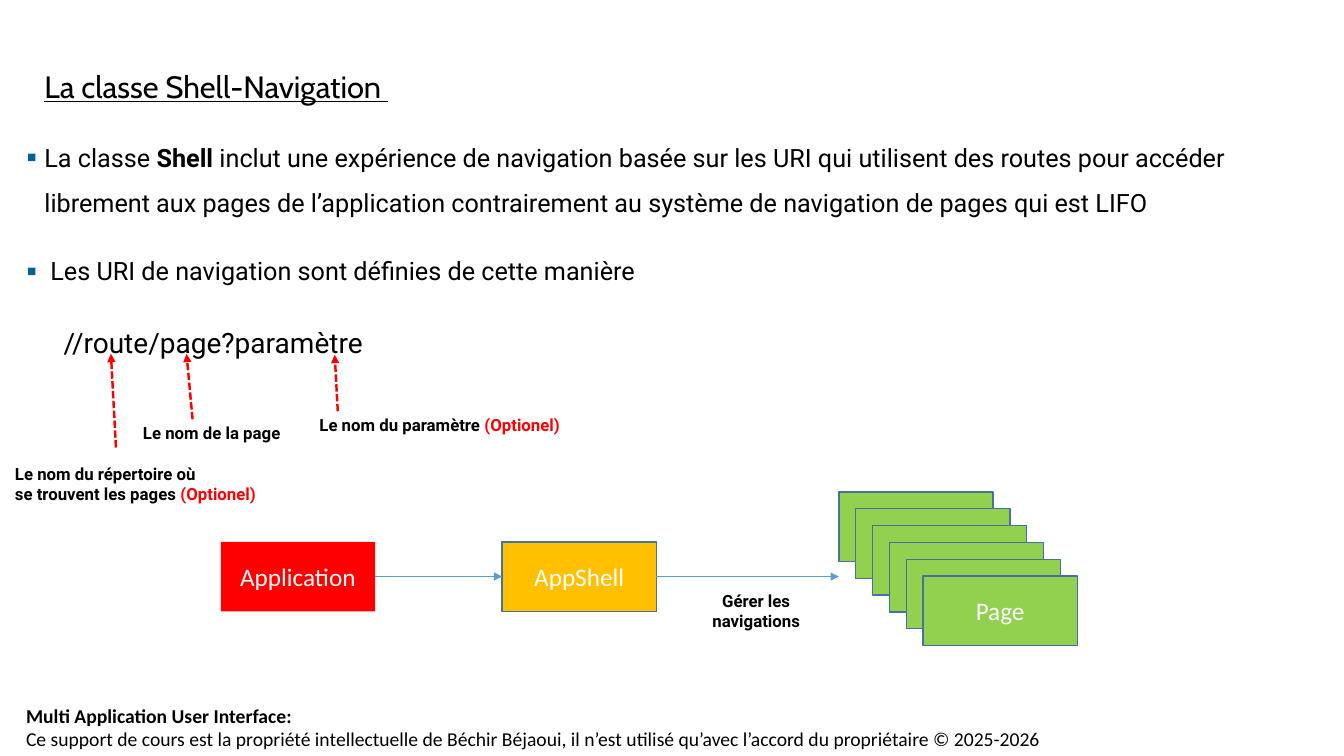
from lxml.etree import SubElement
from pptx import Presentation
from pptx.dml.color import RGBColor
from pptx.enum.dml import MSO_LINE
from pptx.enum.shapes import MSO_CONNECTOR, MSO_SHAPE
from pptx.enum.text import MSO_ANCHOR, PP_ALIGN
from pptx.oxml.ns import qn
from pptx.util import Inches, Pt

BLACK = RGBColor(0x00, 0x00, 0x00)
WHITE = RGBColor(0xFF, 0xFF, 0xFF)
RED = RGBColor(0xFF, 0x00, 0x00)
GOLD = RGBColor(0xFF, 0xC0, 0x00)
GREEN = RGBColor(0x92, 0xD0, 0x50)
EDGE = RGBColor(0x43, 0x73, 0x9E)
BLUE = RGBColor(0x5B, 0x9B, 0xD5)
TEAL = "006498"

BOX_W, BOX_H = 1.53, 0.69
MID_Y = 5.72


def add_text(par, text, size=12, font="Roboto", color=BLACK, bold=False, under=False):
    run = par.add_run()
    run.text = text
    face = run.font
    face.name = font
    face.size = Pt(size)
    face.bold = bold
    face.underline = under
    face.color.rgb = color


def add_box(slide, left, top, width, height, wrap=True, inset=True):
    frame = slide.shapes.add_textbox(
        Inches(left), Inches(top), Inches(width), Inches(height)).text_frame
    frame.word_wrap = wrap
    if not inset:
        frame.margin_left = frame.margin_right = 0
        frame.margin_top = frame.margin_bottom = 0
    return frame


def indent(par, left, first=0.0):
    props = par._p.get_or_add_pPr()
    props.set("marL", str(Inches(left)))
    props.set("indent", str(Inches(first)))
    return props


def add_body(frame, left, bullet=True):
    par = frame.add_paragraph()
    props = indent(par, left, -left if bullet else 0)
    if bullet:
        color = SubElement(props, qn("a:buClr"))
        SubElement(color, qn("a:srgbClr"), val=TEAL)
        SubElement(props, qn("a:buSzPct"), val="61000")
        SubElement(props, qn("a:buFont"), typeface="Arial")
        SubElement(props, qn("a:buChar"), char="■")
    par.line_spacing = 1.5
    par.space_before = Pt(16.2)
    return par


def add_label(slide, left, top, width, height, lines, align=PP_ALIGN.LEFT):
    frame = add_box(slide, left, top, width, height, wrap=False)
    for row, (text, note) in enumerate(lines):
        par = frame.add_paragraph() if row else frame.paragraphs[0]
        par.alignment = align
        add_text(par, text, bold=True)
        if note:
            add_text(par, note, bold=True, color=RED)


def add_block(slide, left, top, color, text="", edge=EDGE):
    block = slide.shapes.add_shape(
        MSO_SHAPE.RECTANGLE, Inches(left), Inches(top), Inches(BOX_W), Inches(BOX_H))
    block.shadow.inherit = False
    block.fill.solid()
    block.fill.fore_color.rgb = color
    if edge:
        block.line.color.rgb = edge
        block.line.width = Pt(1)
    else:
        block.line.fill.background()
    if text:
        frame = block.text_frame
        frame.vertical_anchor = MSO_ANCHOR.MIDDLE
        par = frame.paragraphs[0]
        par.alignment = PP_ALIGN.CENTER
        add_text(par, text, size=18, font="Calibri", color=WHITE)


def add_arrow(slide, start, end, color, width, dash=None):
    arrow = slide.shapes.add_connector(
        MSO_CONNECTOR.STRAIGHT, *map(Inches, start + end))
    arrow.line.color.rgb = color
    arrow.line.width = Pt(width)
    if dash:
        arrow.line.dash_style = dash
    SubElement(arrow.line._get_or_add_ln(), qn("a:tailEnd"), type="triangle")
    SubElement(arrow._element.spPr, qn("a:effectLst"))


def add_foot(slide):
    frame = add_box(slide, 0.16, 6.93, 13.17, 0.57)
    add_text(frame.paragraphs[0], "Multi Application User Interface:",
             size=14, font="Calibri", bold=True)
    add_text(frame.add_paragraph(),
             "Ce support de cours est la propriété intellectuelle de Béchir Béjaoui, "
             "il n’est utilisé qu’avec l’accord du propriétaire © 2025-2026",
             size=14, font="Calibri")


def add_main(slide):
    frame = add_box(slide, 0.27, 0.67, 11.89, 2.91, inset=False)
    title = frame.paragraphs[0]
    indent(title, 0.17)
    add_text(title, "La classe Shell-Navigation ", size=22, font="Cabin", under=True)

    par = add_body(frame, 0.17)
    add_text(par, "La classe ", size=18)
    add_text(par, "Shell ", size=18, bold=True)
    add_text(par, "inclut une expérience de navigation basée sur les URI qui utilisent "
             "des routes pour accéder librement aux pages de l’application contrairement "
             "au système de navigation de pages qui est LIFO", size=18)
    add_text(add_body(frame, 0.23),
             "Les URI de navigation sont définies de cette manière", size=18)
    add_text(add_body(frame, 0.36, bullet=False), "//route/page?paramètre", size=20)


def add_flow(slide):
    top = MID_Y - BOX_H / 2
    add_block(slide, 2.19, top, RED, "Application", edge=None)
    add_block(slide, 4.98, top, GOLD, "AppShell")
    count, step = 6, 0.167
    for i in range(count):
        add_block(slide, 8.32 + i * step, 4.88 + i * step, GREEN,
                  "Page" if i == count - 1 else "")
    for left, right in ((2.19 + BOX_W, 4.98), (4.98 + BOX_W, 8.32)):
        add_arrow(slide, (left, MID_Y), (right, MID_Y), BLUE, 0.5)
    add_label(slide, 6.94, 5.81, 1.12, 0.5,
              [("Gérer les", ""), ("navigations", "")], PP_ALIGN.CENTER)


def add_notes(slide):
    for start, end in (((1.15, 4.44), (1.1, 3.51)),
                       ((1.91, 4.16), (1.85, 3.51)),
                       ((3.35, 4.08), (3.32, 3.52))):
        add_arrow(slide, start, end, RED, 1.75, MSO_LINE.SQUARE_DOT)
    add_label(slide, 0.05, 4.55, 2.72, 0.5,
              [("Le nom du répertoire où", ""),
               ("se trouvent les pages ", "(Optionel)")])
    add_label(slide, 1.32, 4.14, 1.64, 0.3, [("Le nom de la page", "")])
    add_label(slide, 3.07, 4.07, 2.76, 0.3, [("Le nom du paramètre ", "(Optionel)")])


def main():
    deck = Presentation()
    deck.slide_width = Inches(13.33)
    deck.slide_height = Inches(7.5)
    slide = deck.slides.add_slide(deck.slide_layouts[6])
    add_foot(slide)
    add_main(slide)
    add_flow(slide)
    add_notes(slide)
    deck.save("out.pptx")


if __name__ == "__main__":
    main()
